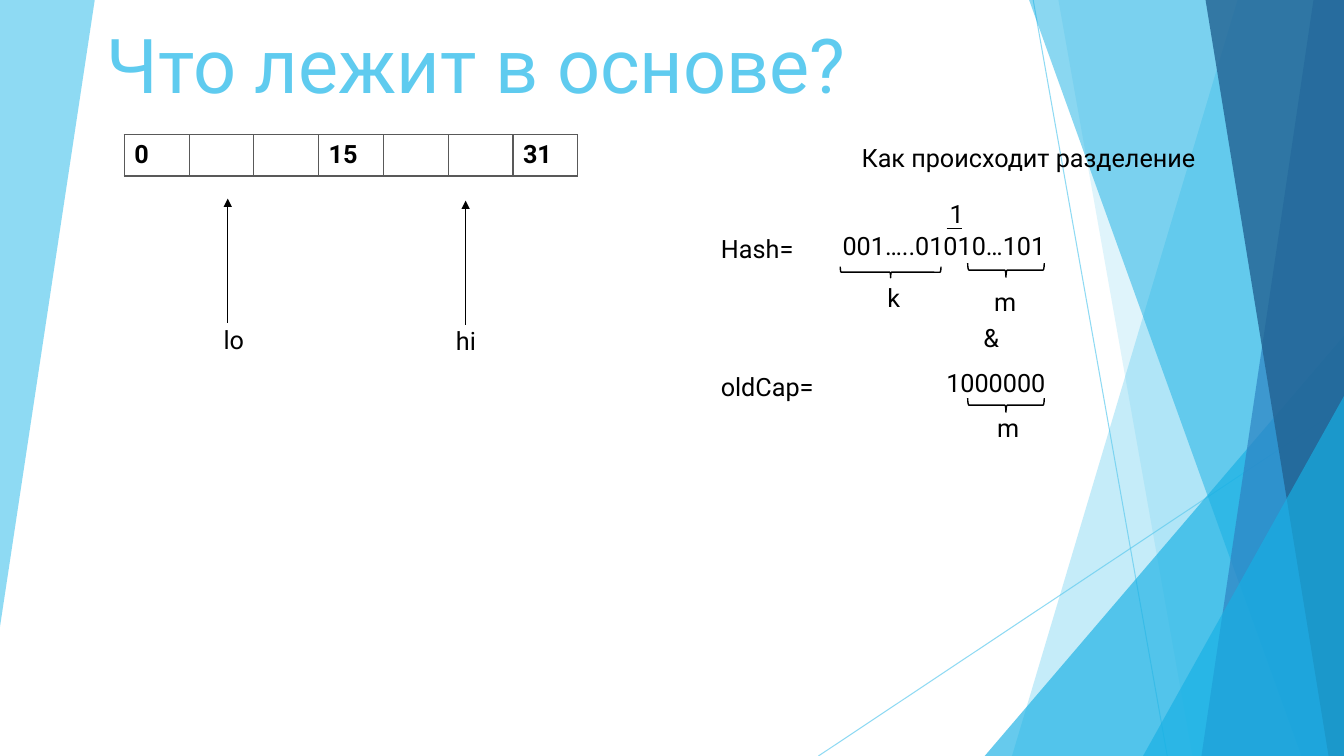
from dataclasses import dataclass
from typing import Any

import lxml.etree
import pptx
import pptx.dml.color
import pptx.enum.shapes
import pptx.enum.text
import pptx.oxml.ns
import pptx.util

Pt = pptx.util.Pt
qn = pptx.oxml.ns.qn
Point = tuple[float, float]


@dataclass(frozen=True)
class Theme:
    font: str = "Roboto"
    title_size: float = 54
    body_size: float = 18
    ink: str = "000000"
    paper: str = "FFFFFF"
    grid: str = "595959"
    sky: str = "5FCBEF"
    cyan: str = "17B0E4"
    blue: str = "2E83C3"
    navy: str = "226292"
    stroke: float = 1
    hairline: float = 0.75


@dataclass(frozen=True)
class Facet:
    outline: tuple[Point, ...]
    color: str
    opacity: int


@dataclass(frozen=True)
class Corner:
    left: float
    top: float
    color: str
    opacity: int


@dataclass(frozen=True)
class Stroke:
    start: Point
    end: Point
    arrow: bool = False


@dataclass(frozen=True)
class Label:
    text: str
    left: float
    top: float
    width: float
    height: float = 26.6


@dataclass(frozen=True)
class Brace:
    left: float
    top: float
    width: float
    height: float


THEME = Theme()
WIDTH, HEIGHT = 960, 540

LEFT_FACET = Facet(((0, 0), (67.7, 0), (0, 447.8)), THEME.sky, 70)
BACKDROP_LINES = (
    Stroke((738, 0), (833.8, HEIGHT)),
    Stroke((WIDTH, 290.2), (584.6, HEIGHT)),
)


def right_facet(top_x: float, bottom_x: float, color: str, opacity: int) -> Facet:
    outline = ((top_x, 0), (WIDTH, 0), (WIDTH, HEIGHT), (bottom_x, HEIGHT))
    return Facet(outline, color, opacity)


RIGHT_PANELS = (
    right_facet(884, 722.9, THEME.sky, 36),
    right_facet(756, 851.8, THEME.sky, 20),
    Corner(703.4, 239.8, THEME.cyan, 66),
    right_facet(735.1, 929.5, THEME.cyan, 50),
    right_facet(938.2, 858.2, THEME.blue, 70),
    right_facet(861.1, 949, THEME.navy, 80),
    Corner(816.5, 283, THEME.cyan, 66),
)

TITLE = Label("Что лежит в основе?", 0, 0, 611.3, 81.4)
LABELS = (
    Label("Как происходит разделение", 537.1, 100.1, 324),
    Label("001…..01010…101", 588.2, 163.4, 165.6),
    Label("1", 525.6, 140.4, 169.9),
    Label("k", 480.2, 200.2, 169.9),
    Label("m", 563, 203, 169.9),
    Label("&", 550.8, 229, 169.9),
    Label("1000000", 663.8, 260.6, 90),
    Label("m", 565.2, 293, 169.9),
    Label("lo", 144, 230.4, 37.4),
    Label("hi", 309.6, 231.1, 37.4),
    Label("Hash=", 501.8, 164.9, 72),
    Label("oldCap=", 501.8, 263.5, 86.4),
)
BRACES = (
    Brace(632.2, 158.4, 7.9, 72),
    Brace(713.5, 165.6, 10.1, 54.7),
    Brace(713.5, 262.1, 10.1, 54.7),
)
MARKS = (
    Stroke((676.1, 163.4), (686.9, 163.4)),
    Stroke((162.7, 230.4), (162.7, 141.8), arrow=True),
    Stroke((332.6, 231.8), (332.6, 143.3), arrow=True),
)
BUCKETS = ("0", "", "", "15", "", "", "31")


def rgb(color: str) -> pptx.dml.color.RGBColor:
    return pptx.dml.color.RGBColor.from_string(color)


def set_opacity(shape: Any, percent: int) -> None:
    tint = next(shape.element.spPr.iter(qn("a:srgbClr")))
    lxml.etree.SubElement(tint, qn("a:alpha"), val=str(percent * 1000))


def paint(shape: Any, color: str, opacity: int) -> None:
    shape.shadow.inherit = False
    shape.line.fill.background()
    shape.fill.solid()
    shape.fill.fore_color.rgb = rgb(color)
    set_opacity(shape, opacity)


def draw_facet(shapes: Any, facet: Facet) -> None:
    first, *others = [(Pt(x), Pt(y)) for x, y in facet.outline]
    builder = shapes.build_freeform(*first, scale=1.0)
    builder.add_line_segments(others, close=True)
    paint(builder.convert_to_shape(), facet.color, facet.opacity)


def draw_corner(shapes: Any, corner: Corner) -> None:
    triangle = shapes.add_shape(
        pptx.enum.shapes.MSO_SHAPE.ISOSCELES_TRIANGLE, Pt(corner.left), Pt(corner.top),
        Pt(WIDTH - corner.left), Pt(HEIGHT - corner.top))
    triangle.adjustments[0] = 1
    paint(triangle, corner.color, corner.opacity)


def draw_stroke(shapes: Any, stroke: Stroke, color: str, weight: float, opacity: int = 100) -> None:
    line = shapes.add_connector(
        pptx.enum.shapes.MSO_CONNECTOR.STRAIGHT, *map(Pt, stroke.start + stroke.end))
    line.line.color.rgb = rgb(color)
    line.line.width = Pt(weight)
    if opacity < 100:
        set_opacity(line, opacity)
    if stroke.arrow:
        outline = line.element.spPr.find(qn("a:ln"))
        lxml.etree.SubElement(outline, qn("a:tailEnd"), type="triangle")
    lxml.etree.SubElement(line.element.spPr, qn("a:effectLst"))


def draw_brace(shapes: Any, brace: Brace) -> None:
    shape = shapes.add_shape(
        pptx.enum.shapes.MSO_SHAPE.RIGHT_BRACE, Pt(brace.left), Pt(brace.top),
        Pt(brace.width), Pt(brace.height))
    shape.rotation = 90
    shape.shadow.inherit = False
    shape.fill.background()
    shape.line.color.rgb = rgb(THEME.ink)
    shape.line.width = Pt(THEME.stroke)


def add_run(paragraph: Any, text: str, size: float, color: str, bold: bool = False) -> None:
    run = paragraph.add_run()
    run.text = text
    run.font.name = THEME.font
    run.font.size = Pt(size)
    run.font.bold = bold
    run.font.color.rgb = rgb(color)


def draw_label(shapes: Any, label: Label, size: float, color: str) -> None:
    frame = shapes.add_textbox(
        Pt(label.left), Pt(label.top), Pt(label.width), Pt(label.height)).text_frame
    frame.word_wrap = True
    frame.vertical_anchor = pptx.enum.text.MSO_ANCHOR.BOTTOM
    paragraph = frame.paragraphs[0]
    paragraph.alignment = pptx.enum.text.PP_ALIGN.RIGHT
    add_run(paragraph, label.text, size, color)


def add_borders(cell: Any) -> None:
    properties = cell._tc.get_or_add_tcPr()
    for side in ("lnL", "lnR", "lnT", "lnB"):
        border = lxml.etree.SubElement(properties, qn(f"a:{side}"), w=str(Pt(THEME.stroke)))
        fill = lxml.etree.SubElement(border, qn("a:solidFill"))
        lxml.etree.SubElement(fill, qn("a:srgbClr"), val=THEME.grid)


def draw_buckets(shapes: Any) -> None:
    buckets = shapes.add_table(
        1, len(BUCKETS), Pt(88.8), Pt(96.3), Pt(324), Pt(29.5)).table
    buckets.first_row = False
    buckets.horz_banding = False
    for cell, index in zip(buckets.iter_cells(), BUCKETS):
        add_borders(cell)
        cell.fill.solid()
        cell.fill.fore_color.rgb = rgb(THEME.paper)
        if index:
            add_run(cell.text_frame.paragraphs[0], index, THEME.body_size, THEME.ink, bold=True)


def main() -> None:
    deck = pptx.Presentation()
    deck.slide_width, deck.slide_height = Pt(WIDTH), Pt(HEIGHT)
    shapes = deck.slides.add_slide(deck.slide_layouts[6]).shapes
    draw_facet(shapes, LEFT_FACET)
    for stroke in BACKDROP_LINES:
        draw_stroke(shapes, stroke, THEME.sky, THEME.hairline, opacity=70)
    for panel in RIGHT_PANELS:
        if isinstance(panel, Corner):
            draw_corner(shapes, panel)
        else:
            draw_facet(shapes, panel)
    draw_label(shapes, TITLE, THEME.title_size, THEME.sky)
    for label in LABELS:
        draw_label(shapes, label, THEME.body_size, THEME.ink)
    for brace in BRACES:
        draw_brace(shapes, brace)
    draw_buckets(shapes)
    for mark in MARKS:
        draw_stroke(shapes, mark, THEME.ink, THEME.stroke)
    deck.save("out.pptx")


if __name__ == "__main__":
    main()
